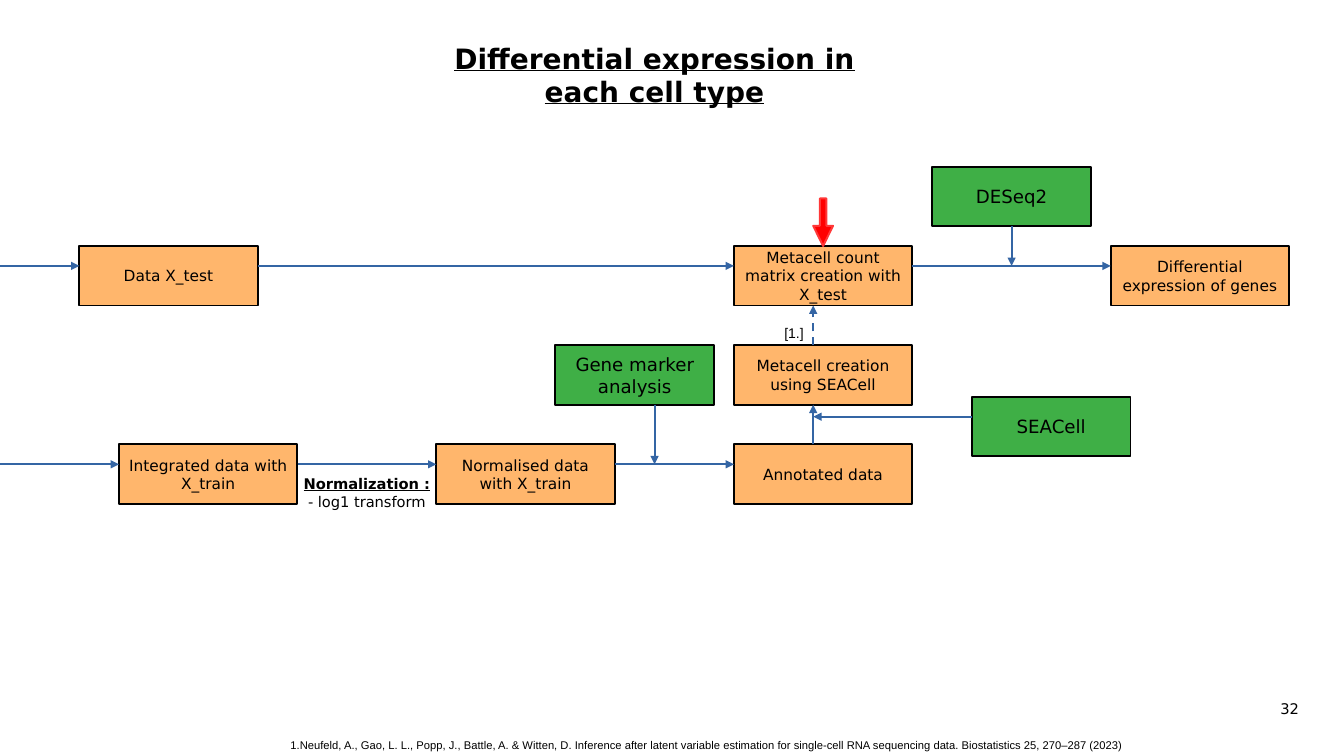
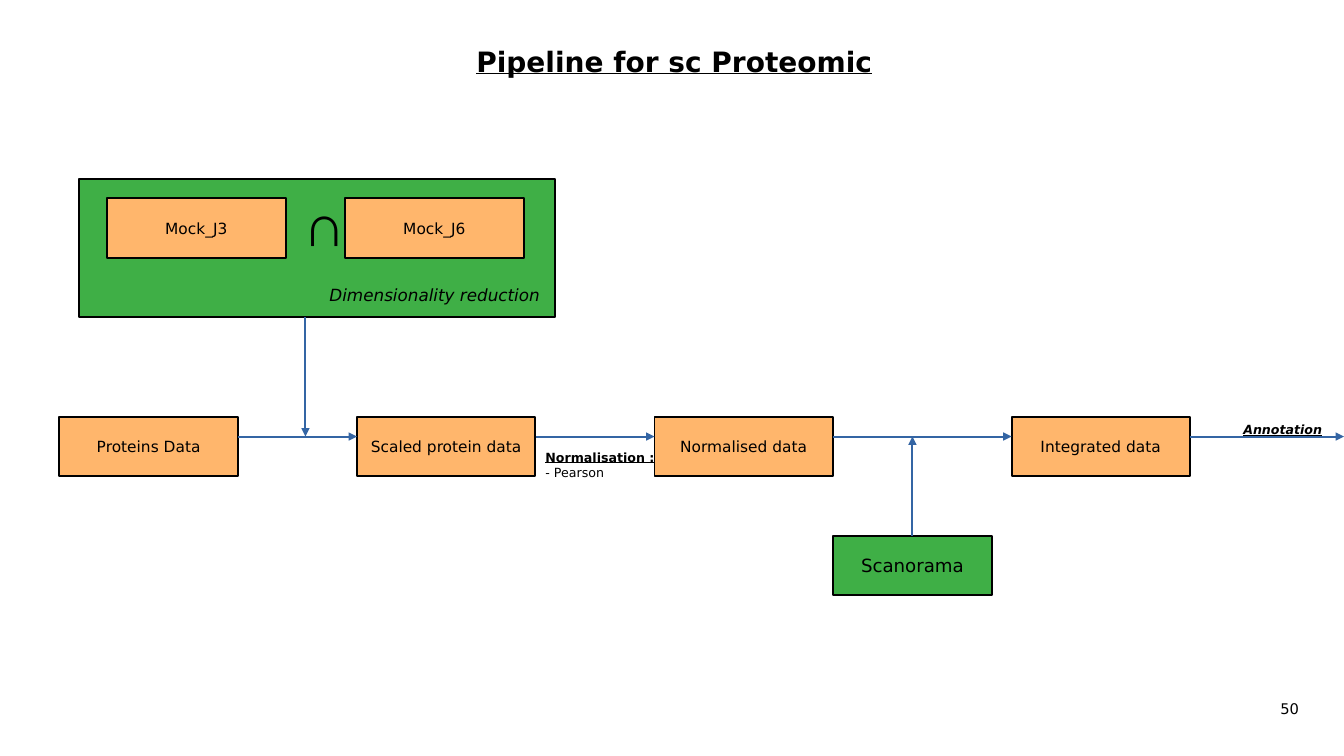
from lxml import etree
from pptx import Presentation
from pptx.dml.color import RGBColor
from pptx.enum.dml import MSO_LINE
from pptx.enum.shapes import MSO_CONNECTOR, MSO_SHAPE
from pptx.enum.text import MSO_ANCHOR, MSO_AUTO_SIZE, PP_ALIGN
from pptx.oxml.ns import qn
from pptx.util import Cm, Pt

BLACK = RGBColor(0x00, 0x00, 0x00)
ORANGE = RGBColor(0xFF, 0xB6, 0x6C)
GREEN = RGBColor(0x3F, 0xAF, 0x46)
BLUE = RGBColor(0x34, 0x65, 0xA4)
RED = RGBColor(0xFF, 0x00, 0x00)
LIGHT_RED = RGBColor(0xFF, 0x38, 0x38)

RECTANGLE = MSO_SHAPE.RECTANGLE
DOWN_ARROW = MSO_SHAPE.DOWN_ARROW
STRAIGHT = MSO_CONNECTOR.STRAIGHT
DASH = MSO_LINE.DASH
MIDDLE = MSO_ANCHOR.MIDDLE
GROW = MSO_AUTO_SIZE.SHAPE_TO_FIT_TEXT
CENTER = PP_ALIGN.CENTER
LEFT = PP_ALIGN.LEFT

SLIDE_WIDTH, SLIDE_HEIGHT = 33.88, 19.05
LINE_WIDTH = Cm(0.05)
DATA_WIDTH, TOOL_WIDTH, BOX_HEIGHT = 4.5, 4, 1.5
ARROW_DROP = 0.5

BODY = {"name": "DejaVu Sans", "size": Pt(11)}
TOOL = {**BODY, "size": Pt(13)}
SMALL = {**BODY, "size": Pt(10.5)}
TINY = {**BODY, "size": Pt(9)}
HEADING = {"bold": True, "underline": True}
TITLE = {**BODY, "size": Pt(20), **HEADING}
CAPTION = {**BODY, "size": Pt(12), "italic": True}
CITATION = {"name": "Arial", "size": Pt(8)}
REFERENCE = {"name": "Arial", "size": Pt(10)}
SYMBOL = {"name": "Arial", "size": Pt(42), "bold": True}


def set_values(target, values):
    for name, value in values.items():
        setattr(target, name, value)


def write(frame, lines, alignment=CENTER):
    for index, (text, style) in enumerate(lines):
        paragraph = frame.add_paragraph() if index else frame.paragraphs[0]
        paragraph.alignment = alignment
        run = paragraph.add_run()
        run.text = text
        set_values(run.font, style)
        run.font.color.rgb = BLACK


def add_label(shapes, box, lines, alignment=CENTER, wrap=True):
    frame = shapes.add_textbox(*map(Cm, box)).text_frame
    set_values(frame, {"word_wrap": wrap, "auto_size": GROW})
    write(frame, lines, alignment)


def add_block(shapes, box, fill, line=BLACK, kind=RECTANGLE):
    shape = shapes.add_shape(kind, *map(Cm, box))
    shape.shadow.inherit = False
    shape.fill.solid()
    shape.fill.fore_color.rgb = fill
    shape.line.color.rgb = line
    shape.line.width = LINE_WIDTH
    return shape


def add_text_block(shapes, box, fill, text, style):
    frame = add_block(shapes, box, fill).text_frame
    set_values(frame, {"word_wrap": True, "vertical_anchor": MIDDLE})
    write(frame, [(text, style)])


def add_data(shapes, left, top, text):
    add_text_block(shapes, (left, top, DATA_WIDTH, BOX_HEIGHT), ORANGE, text, BODY)


def add_tool(shapes, left, top, text):
    add_text_block(shapes, (left, top, TOOL_WIDTH, BOX_HEIGHT), GREEN, text, TOOL)


def add_arrow(shapes, start, end, dash=None):
    connector = shapes.add_connector(STRAIGHT, *map(Cm, (*start, *end)))
    connector.line.color.rgb = BLUE
    connector.line.width = LINE_WIDTH
    if dash:
        connector.line.dash_style = dash
    properties = connector._element.spPr
    head = etree.SubElement(properties.find(qn("a:ln")), qn("a:tailEnd"))
    head.set("type", "triangle")
    etree.SubElement(properties, qn("a:effectLst"))


def add_data_row(shapes, top, entries, start=None, end=None):
    arrow_top = top + ARROW_DROP
    for left, text in entries:
        add_data(shapes, left, top, text)
        if start is not None:
            add_arrow(shapes, (start, arrow_top), (left, arrow_top))
        start = left + DATA_WIDTH
    if end is not None:
        add_arrow(shapes, (start, arrow_top), (end, arrow_top))


def add_slide(presentation, title, title_box, number):
    shapes = presentation.slides.add_slide(presentation.slide_layouts[6]).shapes
    add_label(shapes, title_box, [(title, TITLE)])
    add_label(shapes, (31.24, 17.5, 2.54, 0.94), [(number, SMALL)], wrap=False)
    return shapes


def add_test_region(shapes, top):
    add_data_row(shapes, top, [
        (2, "Data X_test"),
        (18.5, "Metacell count matrix creation with X_test"),
        (28, "Differential expression of genes"),
    ], start=0)
    add_tool(shapes, 23.5, top - 2, "DESeq2")
    add_arrow(shapes, (25.5, top - 2 + BOX_HEIGHT), (25.5, top + ARROW_DROP))
    marker = add_block(shapes, (20.5, top - 1.2, 0.5, 1.2), RED, LIGHT_RED, DOWN_ARROW)
    marker.adjustments[0] = 0.32
    marker.adjustments[1] = 1.02


def add_train_region(shapes, top):
    add_data_row(shapes, top, [
        (3, "Integrated data with X_train"),
        (11, "Normalised data with X_train"),
        (18.5, "Annotated data"),
    ], start=0)
    add_label(shapes, (7, top + 0.64, 4.5, 1.68), [
        ("Normalization :", {**SMALL, **HEADING}),
        ("- log1 transform", SMALL),
    ])
    add_tool(shapes, 14, top - 2.5, "Gene marker analysis")
    add_arrow(shapes, (16.5, top - 1), (16.5, top + ARROW_DROP))


def add_metacell_region(shapes, top):
    bottom = top + BOX_HEIGHT
    add_data(shapes, 18.5, top, "Metacell creation using SEACell")
    add_arrow(shapes, (20.5, bottom + 1), (20.5, bottom))
    add_arrow(shapes, (20.5, top), (20.5, top - 1), DASH)
    add_label(shapes, (19.33, top - 0.65, 1.37, 0.64), [("[1.]", REFERENCE)])
    add_tool(shapes, 24.5, top + 1.3, "SEACell")
    add_arrow(shapes, (24.5, top + 1.8), (20.5, top + 1.8))


def add_reduction_panel(shapes, left, top):
    panel = shapes.add_group_shape().shapes
    add_block(panel, (left, top, 12, 3.5), GREEN)
    for offset, text in ((0.7, "Mock_J3"), (6.7, "Mock_J6")):
        add_data(panel, left + offset, top + 0.5, text)
    add_label(panel, (left + 5.2, top + 0.1, 1.95, 1.9), [("∩", SYMBOL)])
    add_label(panel, (left + 4.2, top + 2.54, 9.52, 0.96),
              [("Dimensionality reduction", CAPTION)])
    add_arrow(shapes, (left + 5.7, top + 3.5), (left + 5.7, top + 6.5))


def add_protein_region(shapes, top):
    add_data_row(shapes, top, [
        (1.5, "Proteins Data"),
        (9, "Scaled protein data"),
        (16.5, "Normalised data"),
        (25.5, "Integrated data"),
    ], end=SLIDE_WIDTH)
    add_label(shapes, (13.5, top + 0.7, 3.5, 1.5), [
        ("Normalisation :", {**TINY, **HEADING}),
        ("- Pearson", TINY),
    ], LEFT)
    add_label(shapes, (30.8, top, 3.07, 0.55),
              [("Annotation", {**TINY, **HEADING, "italic": True})])
    add_tool(shapes, 21, top + 3, "Scanorama")
    add_arrow(shapes, (23, top + 3), (23, top + ARROW_DROP))


def build_expression_slide(presentation):
    shapes = add_slide(presentation, "Differential expression in each cell type",
                       (11, 0.91, 11, 1.96), "32")
    add_train_region(shapes, 11.2)
    add_metacell_region(shapes, 8.7)
    add_test_region(shapes, 6.2)
    add_label(shapes, (6.5, 18.49, 22.66, 0.56), [(
        "1.Neufeld, A., Gao, L. L., Popp, J., Battle, A. & Witten, D. "
        "Inference after latent variable estimation for single-cell RNA "
        "sequencing data. Biostatistics 25, 270–287 (2023)", CITATION)])


def build_proteomic_slide(presentation):
    shapes = add_slide(presentation, "Pipeline for sc Proteomic",
                       (10.5, 1, 13, 1.68), "50")
    add_reduction_panel(shapes, 2, 4.5)
    add_protein_region(shapes, 10.5)


def main():
    presentation = Presentation()
    set_values(presentation, {"slide_width": Cm(SLIDE_WIDTH),
                              "slide_height": Cm(SLIDE_HEIGHT)})
    build_expression_slide(presentation)
    build_proteomic_slide(presentation)
    presentation.save("out.pptx")


if __name__ == "__main__":
    main()
